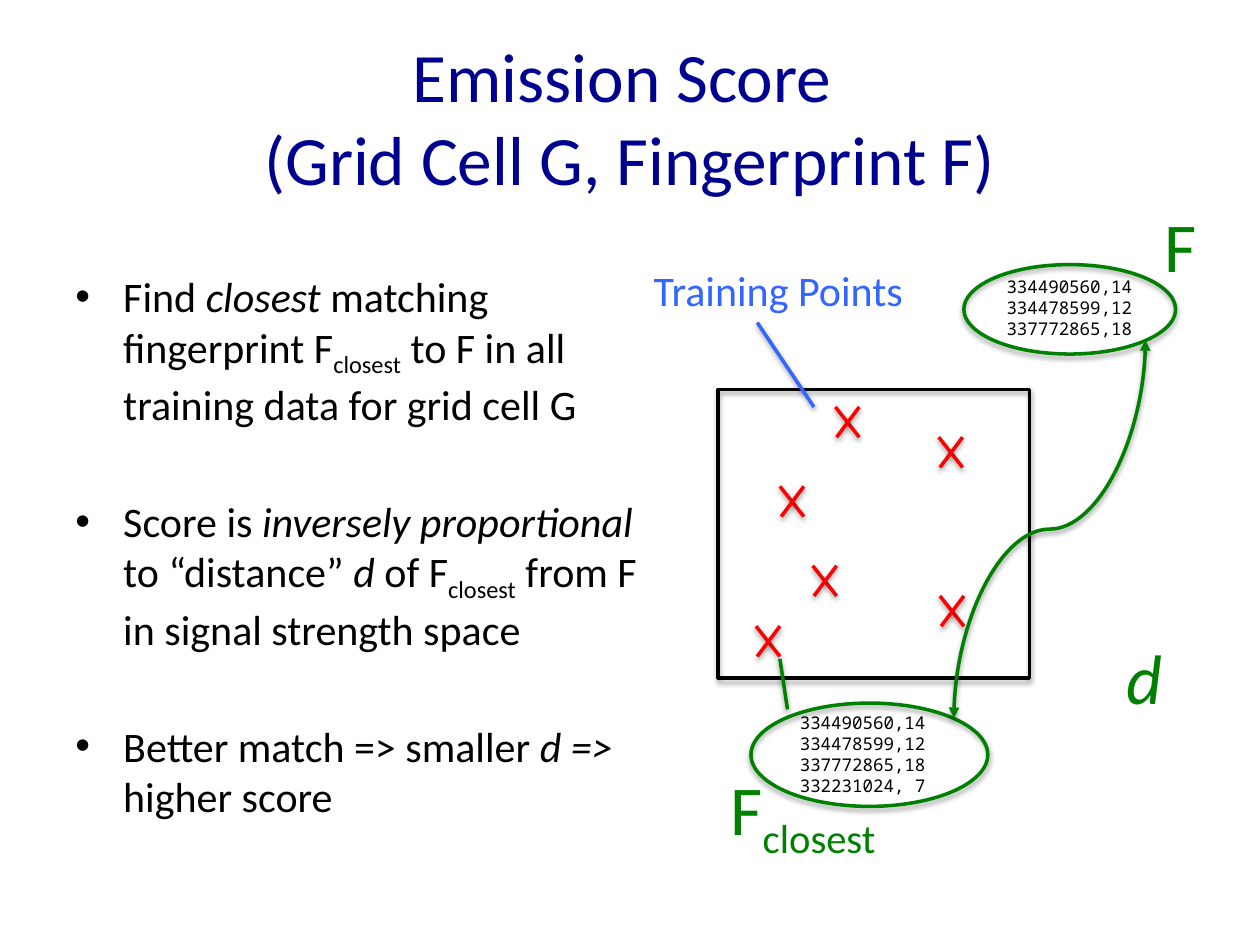
from lxml import etree
from pptx import Presentation
from pptx.dml.color import RGBColor
from pptx.enum import shapes, text
from pptx.oxml import ns
from pptx.util import Inches, Pt

GREEN, BLUE, RED, BLACK, NAVY = "008000", "3366FF", "FF0000", "000000", "000090"
READINGS = ["334490560,14", "334478599,12", "337772865,18"]
CROSSES = [(6.19, 3.86), (6.45, 4.49), (7.45, 3.47), (7.46, 4.73), (6.63, 3.23), (6.0, 4.97)]
POINTS = [
    [("Find ", ""), ("closest ", "italic"), ("matching fingerprint F", ""),
     ("closest", "sub"), (" to F in all training data for grid cell G", "")],
    [("Score is ", ""), ("inversely proportional ", "italic"), ("to “distance” ", ""),
     ("d", "italic"), (" of F", ""), ("closest", "sub"),
     (" from F in signal strength space", "")],
    [("Better match => smaller ", ""), ("d => ", "italic"), ("higher score", "")],
]


def color(value):
    return RGBColor.from_string(value)


def add_element(parent, tag, **attributes):
    return etree.SubElement(parent, ns.qn(tag), attributes)


def style_line(shape, value, opacity=38, distance=1.6):
    shape.line.color.rgb = color(value)
    shape.line.width = Pt(2)
    properties = shape._element.spPr
    for old in properties.findall(ns.qn("a:effectLst")):
        properties.remove(old)
    effects = add_element(properties, "a:effectLst")
    shadow = add_element(effects, "a:outerShdw", blurRad=str(Pt(3.1)), dist=str(Pt(distance)),
                         dir="5400000", rotWithShape="0")
    shade = add_element(shadow, "a:srgbClr", val=BLACK)
    add_element(shade, "a:alpha", val=str(opacity * 1000))


def add_outline(page, kind, left, top, width, height, value):
    shape = page.shapes.add_shape(kind, Inches(left), Inches(top), Inches(width), Inches(height))
    shape.fill.background()
    style_line(shape, value, 35, 1.8)


def add_line(page, start, end, value, kind=shapes.MSO_CONNECTOR.STRAIGHT):
    line = page.shapes.add_connector(kind, *map(Inches, (*start, *end)))
    style_line(line, value)
    return line


def add_text(page, left, top, width, height, paragraphs, size, value, name="Calibri", **settings):
    box = page.shapes.add_textbox(Inches(left), Inches(top), Inches(width), Inches(height))
    frame = box.text_frame
    for key, setting in {"word_wrap": True, **settings}.items():
        setattr(frame, key, setting)
    for index, spans in enumerate(paragraphs):
        para = frame.add_paragraph() if index else frame.paragraphs[0]
        for words, style in spans:
            span = para.add_run()
            span.text = words
            look = {"name": name, "size": Pt(size), "italic": style == "italic"}
            for key, setting in look.items():
                setattr(span.font, key, setting)
            span.font.color.rgb = color(value)
            if style == "sub":
                span.font._element.set("baseline", "-25000")
    return frame


def add_title(page, left, top, width, height):
    frame = add_text(page, left, top, width, height, [[("Emission Score ", "")]], 39.6, NAVY,
                     vertical_anchor=text.MSO_ANCHOR.MIDDLE)
    para = frame.paragraphs[0]
    para.alignment = text.PP_ALIGN.CENTER
    para.add_line_break()
    span = para.add_run()
    span.text = "(Grid Cell G, Fingerprint F)"
    for key, setting in {"name": "Calibri", "size": Pt(39.6)}.items():
        setattr(span.font, key, setting)
    span.font.color.rgb = color(NAVY)


def add_points(page, left, top, width, height):
    frame = add_text(page, left, top, width, height, POINTS, 24, BLACK)
    for index, para in enumerate(frame.paragraphs):
        properties = para._p.get_or_add_pPr()
        properties.set("marL", str(Inches(0.38)))
        properties.set("indent", str(Inches(-0.38)))
        add_element(properties, "a:buFont", typeface="Arial")
        add_element(properties, "a:buChar", char="•")
        if index:
            para.space_before = Pt(38)


def add_cross(page, left, top, width=0.19, height=0.24):
    right, bottom = left + width, top + height
    add_line(page, (left, top), (right, bottom), RED)
    add_line(page, (right, top), (left + 0.01, bottom), RED)


def add_label(page, left, top, width, height, spans, size=40, value=GREEN):
    add_text(page, left, top, width, height, [spans], size, value, word_wrap=False)


def add_fingerprint(page, left, top, width, height, readings, inset):
    dx, dy = inset
    add_text(page, left + dx, top + dy, 1.5, height - 2 * dy,
             [[(reading, "")] for reading in readings], 10, BLACK, "Noto Sans Mono")
    add_outline(page, shapes.MSO_SHAPE.OVAL, left, top, width, height, GREEN)


def add_distance_curve(page, left, top, width, height):
    curve = add_line(page, (left + width, top + height), (left, top), GREEN,
                     shapes.MSO_CONNECTOR.CURVE)
    curve._element.spPr.find(ns.qn("a:xfrm")).set("rot", "5400000")
    outline = curve.line._get_or_add_ln()
    for end in ("a:headEnd", "a:tailEnd"):
        add_element(outline, end, type="triangle")


def add_diagram(page, left, top, width, height):
    add_outline(page, shapes.MSO_SHAPE.RECTANGLE, left, top, width, height, BLACK)
    for cross_left, cross_top in CROSSES:
        add_cross(page, cross_left, cross_top)
    add_fingerprint(page, left + 1.95, top - 0.99, 1.68, 0.71, READINGS, (0.24, 0.04))
    add_fingerprint(page, left + 0.26, top + 2.49, 1.88, 0.82,
                    READINGS + ["332231024, 7"], (0.29, 0.02))
    add_label(page, left, top + 2.94, 1.51, 0.77, [("F", ""), ("closest", "sub")])
    add_label(page, left + 3.44, top - 1.53, 0.46, 0.77, [("F", "")])
    add_distance_curve(page, left + 1.13, top + 0.35, 3, 1.52)
    add_label(page, left + 3.14, top + 1.9, 0.59, 0.77, [("d", "italic")])
    add_label(page, left - 0.61, top - 1.04, 2.2, 0.5, [("Training Points", "")], 24, BLUE)
    add_line(page, (left + 0.76, top + 0.14), (left + 0.31, top - 0.53), BLUE)
    add_line(page, (left + 0.49, top + 2.14), (left + 0.55, top + 2.54), GREEN)


def main():
    deck = Presentation()
    deck.slide_width, deck.slide_height = Inches(10), Inches(7.5)
    page = deck.slides.add_slide(deck.slide_layouts[6])
    add_title(page, 0.5, 0.3, 9, 1.25)
    add_points(page, 0.5, 2.1, 4.74, 4.66)
    add_diagram(page, 5.7, 3.09, 2.47, 2.29)
    deck.save("out.pptx")


if __name__ == "__main__":
    main()
